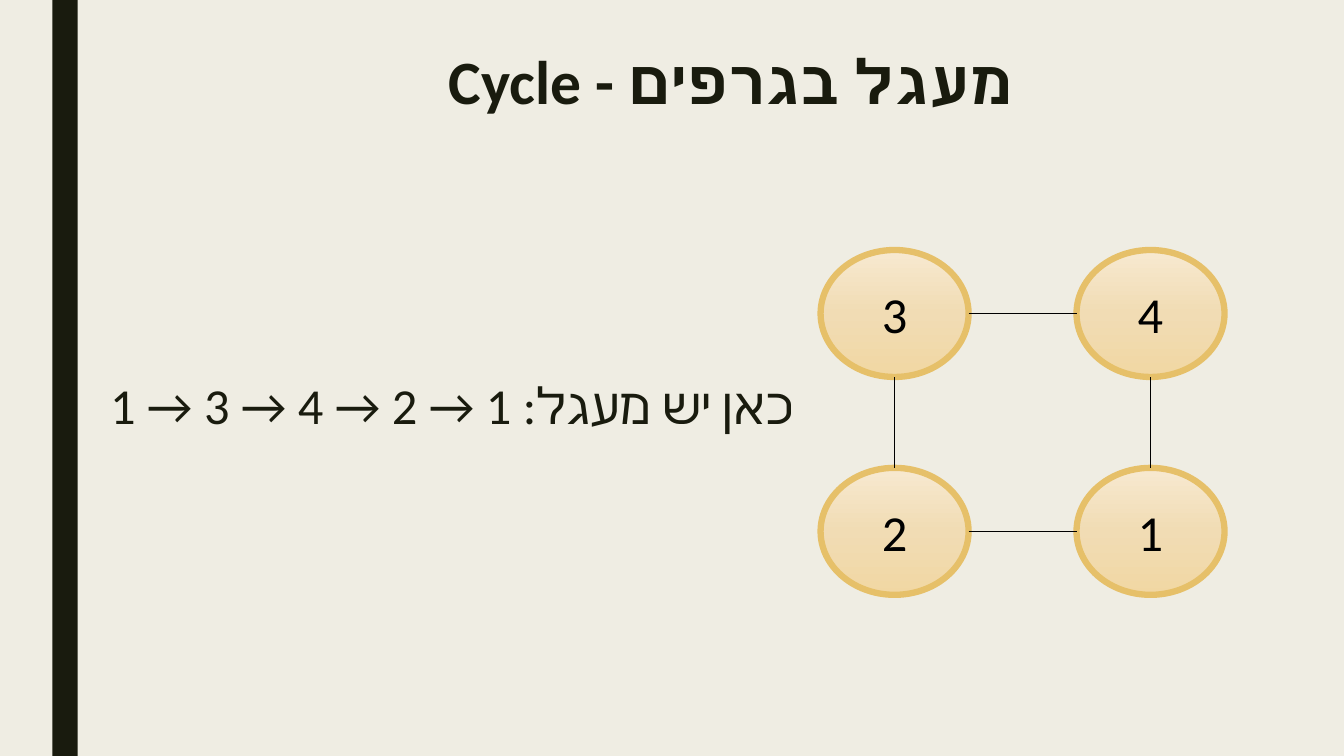
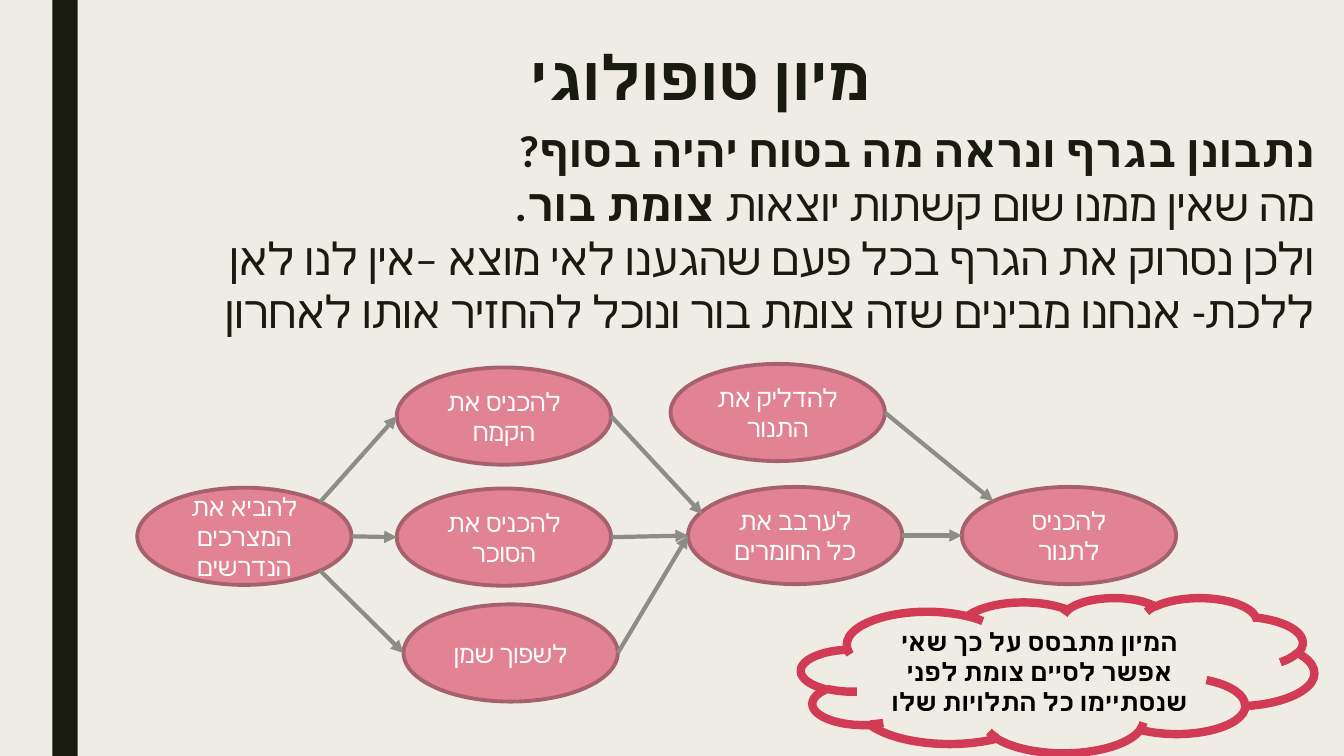
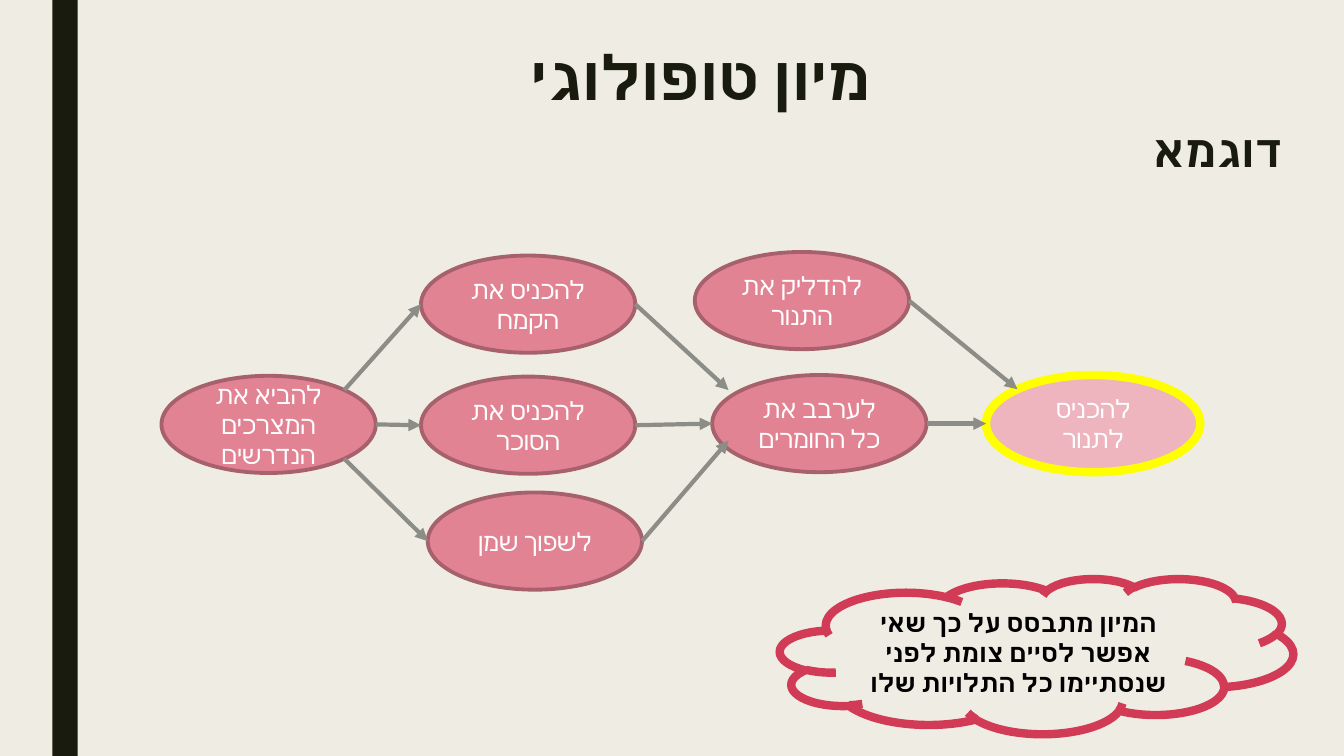
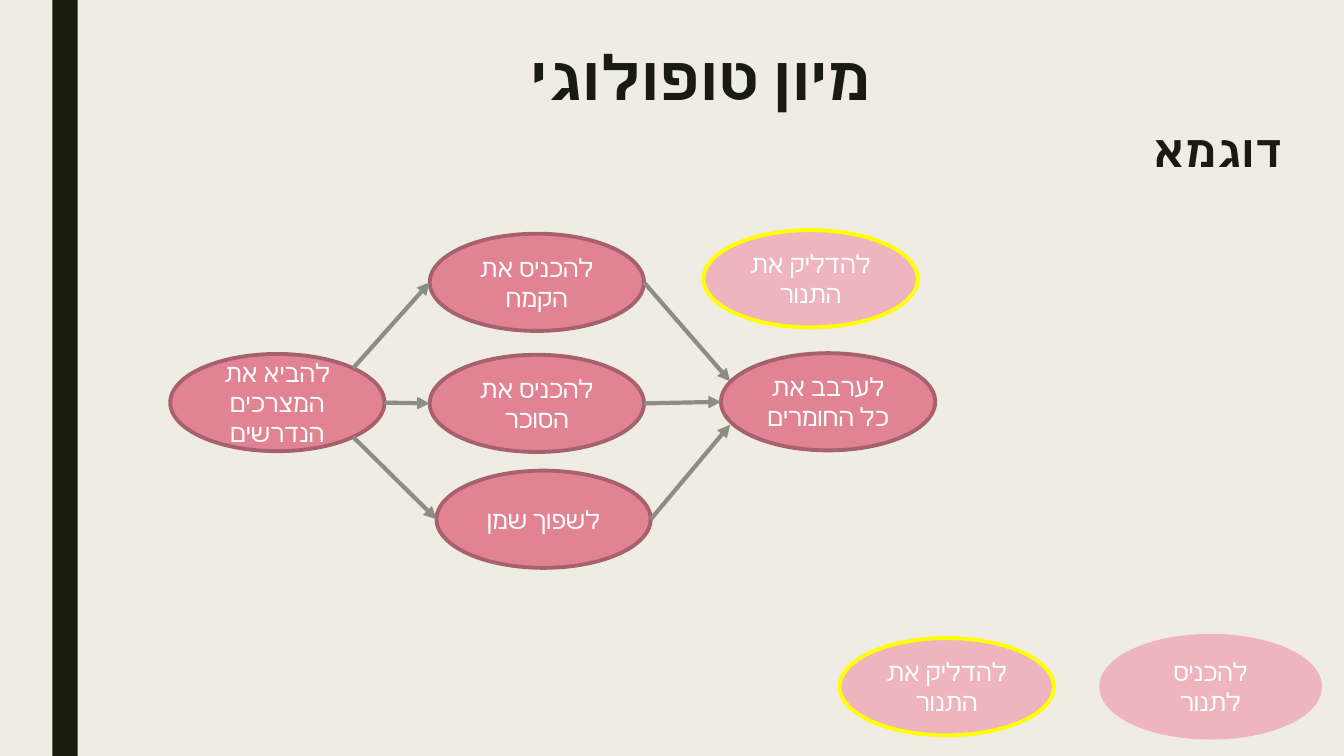
from copy import deepcopy
from dataclasses import dataclass

from lxml import etree
from pptx import Presentation
from pptx.dml.color import RGBColor
from pptx.enum.shapes import MSO_CONNECTOR, MSO_SHAPE
from pptx.enum.text import MSO_ANCHOR, MSO_AUTO_SIZE, PP_ALIGN
from pptx.oxml.ns import qn
from pptx.util import Cm, Pt

STRAIGHT = MSO_CONNECTOR.STRAIGHT
RECT, OVAL, CLOUD = MSO_SHAPE.RECTANGLE, MSO_SHAPE.OVAL, MSO_SHAPE.CLOUD
TOP, MIDDLE = MSO_ANCHOR.TOP, MSO_ANCHOR.MIDDLE
CENTER, RIGHT = PP_ALIGN.CENTER, PP_ALIGN.RIGHT
GROW = MSO_AUTO_SIZE.SHAPE_TO_FIT_TEXT


@dataclass(frozen=True)
class Theme:
    font: str = "Calibri"
    paper: str = "EFEDE3"
    ink: str = "191B0E"
    black: str = "000000"
    white: str = "FFFFFF"
    arrow: str = "8C8D86"
    cloud: str = "D13B56"
    gold: str = "E6C069"
    gold_fade: tuple = ((0, "F7E9D0"), (0.5, "F1DCB4"), (1, "F1D7A3"))
    title_pt: int = 44
    vertex_pt: int = 36
    body_pt: int = 32
    label_pt: int = 18
    spacing: float = 0.89


@dataclass(frozen=True)
class TaskStyle:
    fill: str
    line: str
    width: float


T = Theme()
OPEN = TaskStyle("E28394", "A7616D", 2.75)
CURRENT = TaskStyle("EEB5BF", "FFFF00", 6)
PICKED = TaskStyle("EEB5BF", "FFFF00", 2.75)
SORTED = TaskStyle("EEB5BF", "EEB5BF", 6)

# Connection sites of an ellipse, as fractions of its box
D = 0.1464
SITES = [(0.5, 0), (D, D), (0, 0.5), (D, 1 - D),
         (0.5, 1), (1 - D, 1 - D), (1, 0.5), (1 - D, D)]
N, W, SW, S, SE, E, NE, NW = 0, 2, 3, 4, 5, 6, 7, 1

# Tasks: label and place in the graph's box, in cm
TASK_W, TASK_H = 5.4, 2.45
TASKS = {
    "bring": ("להביא את המצרכים הנדרשים", 0, 3.12),
    "flour": ("להכניס את הקמח", 6.54, 0.09),
    "sugar": ("להכניס את הסוכר", 6.54, 3.14),
    "oil": ("לשפוך שמן", 6.71, 6.06),
    "mix": ("לערבב את כל החומרים", 13.88, 3.1),
    "bake": ("להכניס לתנור", 20.78, 3.1),
    "oven": ("להדליק את התנור", 13.44, 0),
}
TASK_EDGES = [
    ("bring", NE, "flour", W), ("bring", E, "sugar", W), ("bring", SE, "oil", W),
    ("sugar", E, "mix", W), ("mix", E, "bake", W), ("oven", E, "bake", NW),
]


def rgb(value):
    return RGBColor.from_string(value)


# Shared helpers
def write(sp, runs, size, color, align=CENTER, anchor=MIDDLE, rtl=False, spacing=None):
    """Fill a shape with one paragraph; runs are (text, bold), \\v breaks a line."""
    tf = sp.text_frame
    tf.word_wrap = True
    tf.vertical_anchor = anchor
    p = tf.paragraphs[0]
    p.alignment = align
    if rtl:
        p._p.get_or_add_pPr().set("rtl", "1")
    if spacing:
        p.line_spacing = spacing
    for text, bold in runs:
        for i, piece in enumerate(text.split("\v")):
            if i:
                p.add_line_break()
            if not piece:
                continue
            r = p.add_run()
            r.text = piece
            r.font.size, r.font.bold, r.font.name = Pt(size), bold, T.font
            r.font.color.rgb = rgb(color)
            etree.SubElement(r._r.rPr, qn("a:cs"), typeface=T.font)


def add_text(s, box, runs, size, **style):
    sp = s.shapes.add_textbox(*(Cm(v) for v in box))
    write(sp, runs, size, T.ink, **style)


def add_shape(s, kind, box, fill=None, line=None, width=0):
    sp = s.shapes.add_shape(kind, *(Cm(v) for v in box))
    sp.shadow.inherit = False
    if fill:
        sp.fill.solid()
        sp.fill.fore_color.rgb = rgb(fill)
    else:
        sp.fill.background()
    if line:
        sp.line.color.rgb = rgb(line)
        sp.line.width = Pt(width)
    else:
        sp.line.fill.background()
    return sp


def site_point(sp, site):
    fx, fy = SITES[site]
    return int(sp.left + fx * sp.width), int(sp.top + fy * sp.height)


def connect(s, a, a_site, b, b_end, color, width, arrow=False):
    """Join two ellipses; b_end is a site, or an (x, y) in cm inside b's box."""
    glued = isinstance(b_end, int)
    if glued:
        end = site_point(b, b_end)
    else:
        end = b.left + Cm(b_end[0]), b.top + Cm(b_end[1])
    c = s.shapes.add_connector(STRAIGHT, *site_point(a, a_site), *end)
    c.line.color.rgb = rgb(color)
    c.line.width = Pt(width)
    if arrow:
        etree.SubElement(c.line._get_or_add_ln(), qn("a:tailEnd"), type="triangle")
    etree.SubElement(c._element.spPr, qn("a:effectLst"))
    glue = c._element.find(".//" + qn("p:cNvCxnSpPr"))
    etree.SubElement(glue, qn("a:stCxn"), id=str(a.shape_id), idx=str(a_site))
    if glued:
        etree.SubElement(glue, qn("a:endCxn"), id=str(b.shape_id), idx=str(b_end))


def new_slide(prs):
    s = prs.slides.add_slide(prs.slide_layouts[6])
    add_shape(s, RECT, (1.32, 0, 0.64, 19.05), T.ink)
    return s


# Cycle slide
def add_vertex(s, x, y, w, h, label):
    sp = add_shape(s, OVAL, (x, y, w, h), T.gold, T.gold, 4.5)
    sp.fill.gradient()
    sp.fill.gradient_angle = 270
    stops = sp._element.spPr.find(".//" + qn("a:gsLst"))
    stops.append(deepcopy(stops[-1]))
    for stop, (position, color) in zip(sp.fill.gradient_stops, T.gold_fade):
        stop.position = position
        stop.color.rgb = rgb(color)
    write(sp, [(label, False)], T.vertex_pt, T.black)
    return sp


def add_square_graph(s, x, y, w, h):
    vw, vh = 3.73, 3.2
    grid = [[add_vertex(s, x + col * (w - vw), y + row * (h - vh), vw, vh, label)
             for col, label in enumerate(labels)]
            for row, labels in enumerate(("34", "21"))]
    for left, right in grid:
        connect(s, left, E, right, W, T.black, 0.5)
    for upper, lower in zip(*grid):
        connect(s, upper, S, lower, N, T.black, 0.5)


def cycle_slide(prs):
    s = new_slide(prs)
    add_text(s, (1.78, 9.5, 18.47, 6.86), [("כאן יש מעגל: 1 → 2 → 4 → 3 → 1", False)],
             T.vertex_pt, align=RIGHT, anchor=TOP, spacing=T.spacing)
    add_text(s, (5.08, 1.19, 26.67, 3.23), [("מעגל בגרפים - Cycle", True)],
             T.title_pt, anchor=TOP, rtl=True, spacing=T.spacing)
    add_square_graph(s, 20.68, 6.3, 10.18, 8.69)


# Topological sort slides
def add_task(s, x, y, name, style=OPEN):
    sp = add_shape(s, OVAL, (x, y, TASK_W, TASK_H), style.fill, style.line, style.width)
    write(sp, [(TASKS[name][0], False)], T.label_pt, T.white)
    return sp


def add_task_graph(s, x, y, flour_end, oil_end, styles=None, removed=(), loose=()):
    """Draw the tasks and their arrows; loose tasks keep no arrows."""
    styles = styles or {}
    nodes = {name: add_task(s, x + dx, y + dy, name, styles.get(name, OPEN))
             for name, (_, dx, dy) in TASKS.items() if name not in removed}
    linked = nodes.keys() - set(loose)
    edges = TASK_EDGES + [("flour", E, "mix", flour_end), ("oil", E, "mix", oil_end)]
    for a, a_site, b, b_end in edges:
        if a in linked and b in linked:
            connect(s, nodes[a], a_site, nodes[b], b_end, T.arrow, 3, arrow=True)


def add_cloud(s, x, y):
    sp = add_shape(s, CLOUD, (x, y, 12.93, 3.91), line=T.cloud, width=6)
    write(sp, [("המיון מתבסס על כך שאי אפשר לסיים צומת לפני שנסתיימו כל התלויות שלו", True)],
          T.label_pt, T.black, anchor=TOP, rtl=True)
    sp.text_frame.auto_size = GROW


def sort_slide(prs, body_box, body):
    s = new_slide(prs)
    add_text(s, body_box, body, T.body_pt, align=RIGHT, anchor=TOP, rtl=True)
    add_text(s, (1.47, 0.94, 32.4, 2.18), [("מיון טופולוגי", True)],
             T.title_pt, rtl=True, spacing=T.spacing)
    return s


def sink_slide(prs):
    s = sort_slide(prs, (3.45, 2.97, 29.95, 6.17), [
        ("נתבונן בגרף ונראה מה בטוח יהיה בסוף?\v", True),
        ("מה שאין ממנו שום קשתות יוצאות ", False),
        ("צומת בור.\v", True),
        ("ולכן נסרוק את הגרף בכל פעם שהגענו לאי מוצא –אין לנו לאן ללכת- "
         "אנחנו מבינים שזה צומת בור ונוכל להחזיר אותו לאחרון", False),
    ])
    add_task_graph(s, 3.46, 9.17, (0.36, 0.69), W)
    add_cloud(s, 20.19, 15.06)


def example_slide(prs):
    return sort_slide(prs, (11.05, 2.97, 21.54, 3.18), [("דוגמא", True)])


def first_step_slide(prs):
    s = example_slide(prs)
    add_task_graph(s, 4.07, 6.35, (0.41, 0.38), (0.41, 1.65), {"bake": CURRENT})
    add_cloud(s, 19.66, 14.58)


def second_step_slide(prs):
    s = example_slide(prs)
    add_task(s, 27.81, 16.08, "bake", SORTED)
    add_task(s, 21.16, 16.08, "oven", PICKED)
    add_task_graph(s, 4.29, 5.8, (0.23, 0.71), (0.23, 1.8), {"oven": PICKED},
                   removed=("bake",), loose=("oven",))


def main():
    prs = Presentation()
    prs.slide_width, prs.slide_height = Cm(33.87), Cm(19.05)
    fill = prs.slide_master.background.fill
    fill.solid()
    fill.fore_color.rgb = rgb(T.paper)
    for build in (cycle_slide, sink_slide, first_step_slide, second_step_slide):
        build(prs)
    prs.save("out.pptx")


if __name__ == "__main__":
    main()
